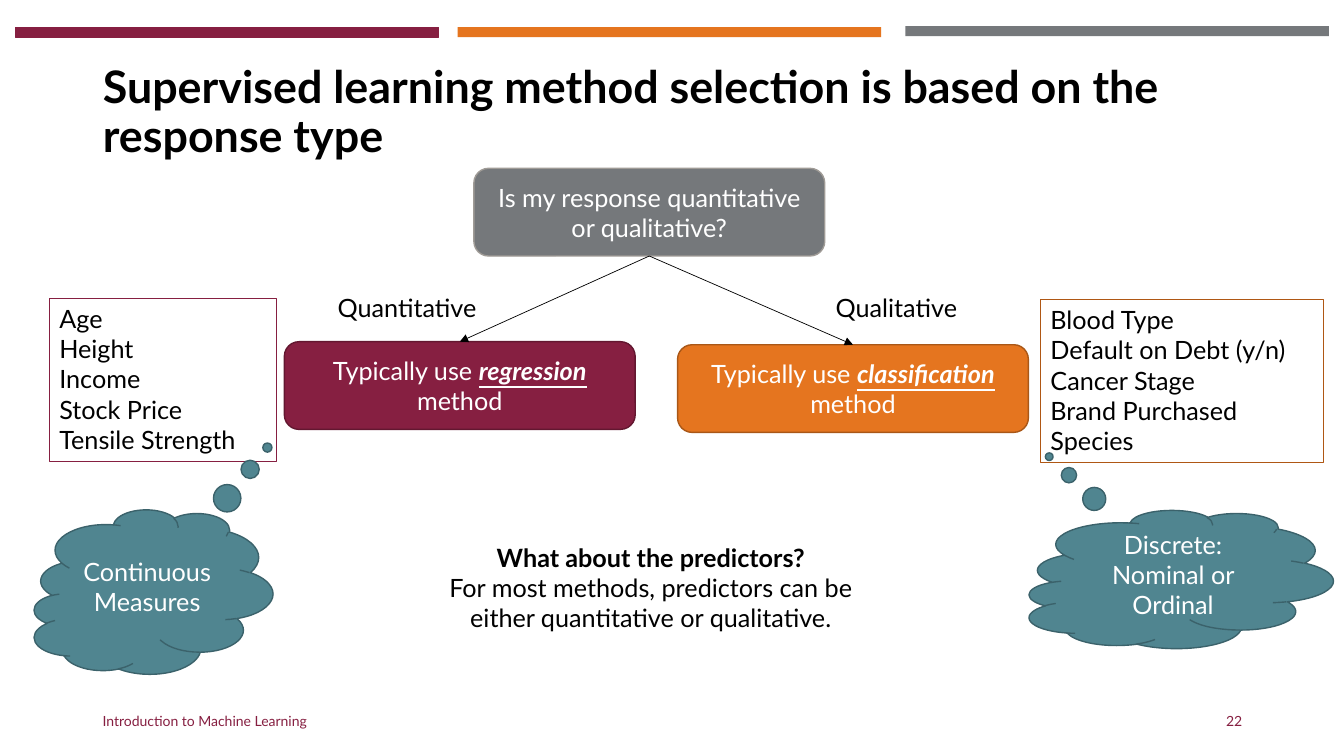
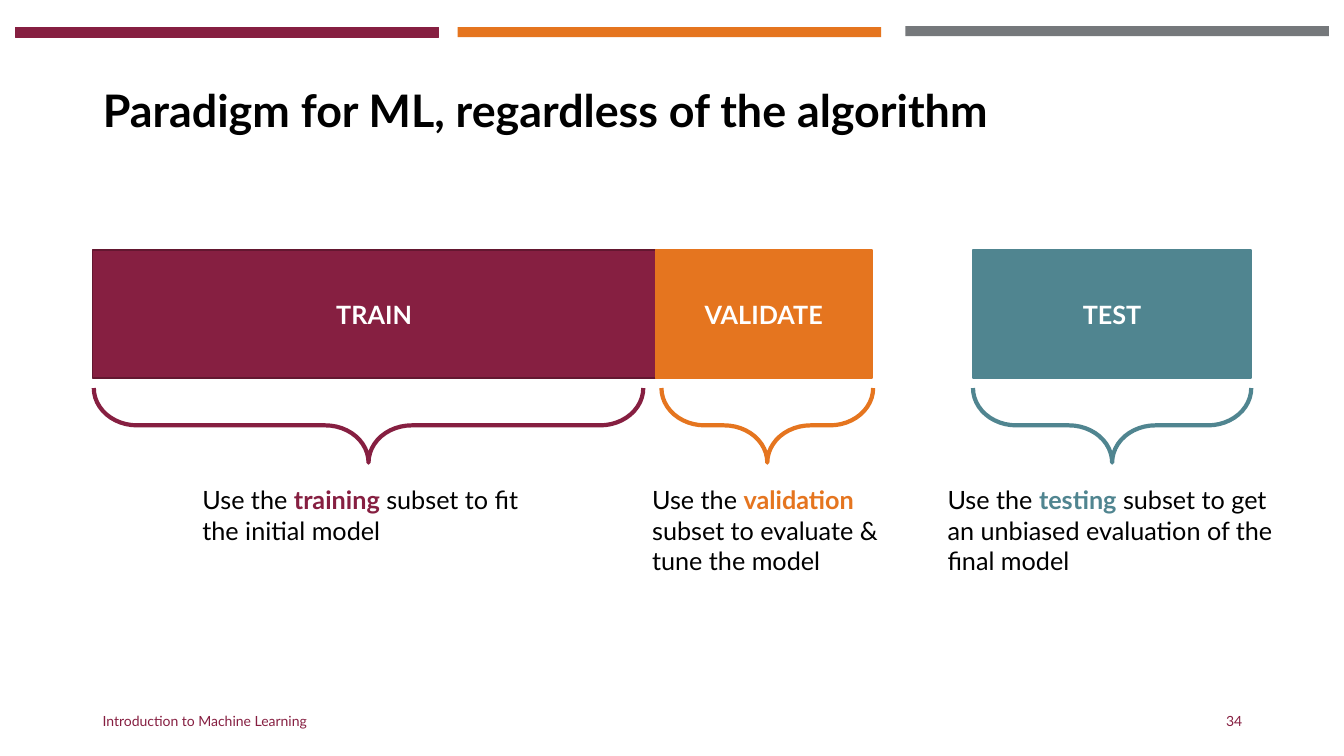
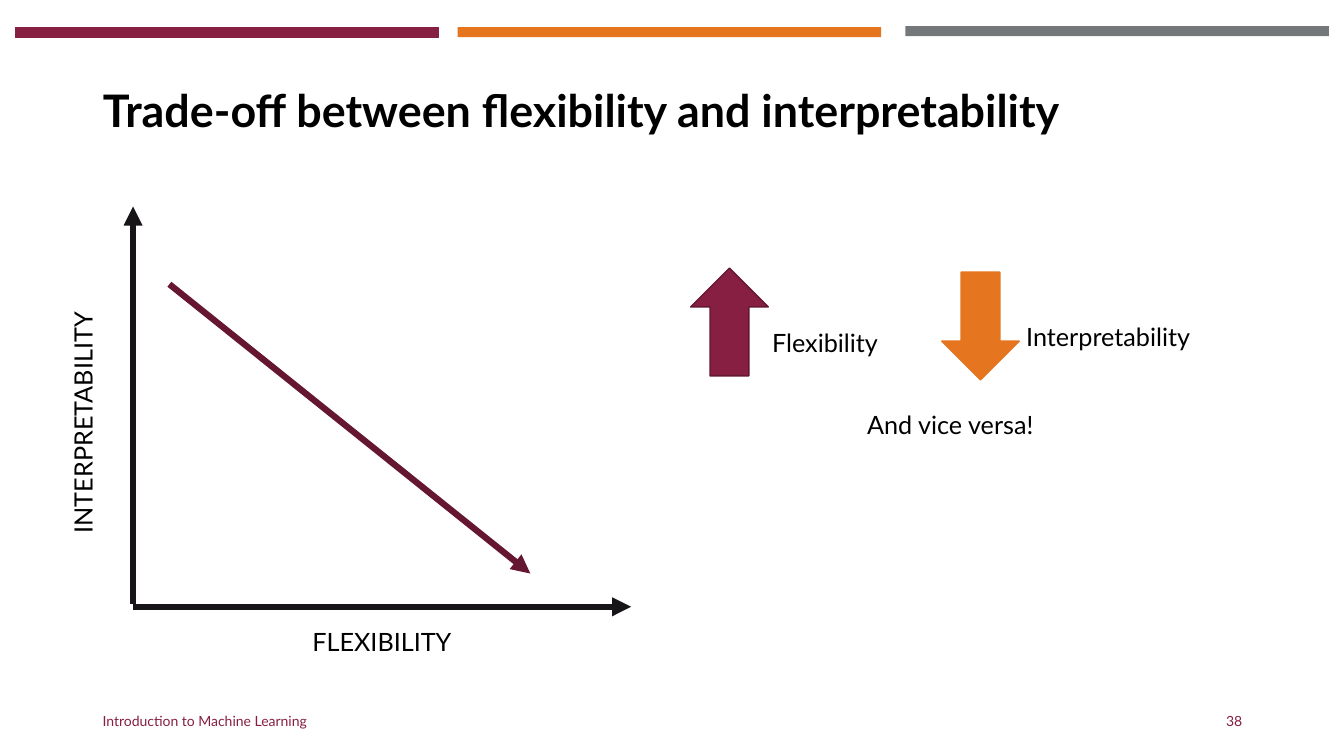
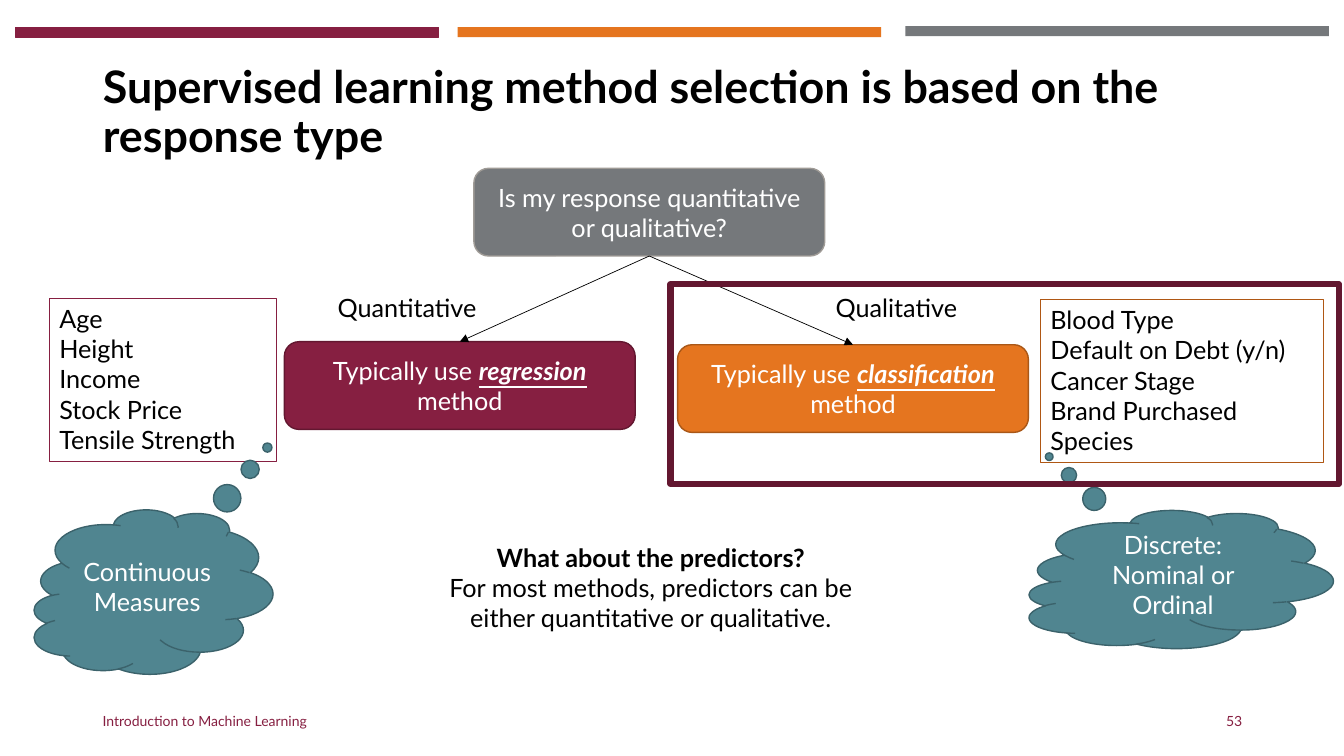
from lxml import etree
from pptx import Presentation
from pptx import util as u
from pptx.dml.color import RGBColor
from pptx.enum import shapes, text
from pptx.oxml.ns import qn

FONT = "Lato"
MAROON, ORANGE, GRAY, TEAL = "861F41", "E5751F", "75787B", "508590"
DARK_MAROON, DARK_ORANGE, DARK_TEAL = "631730", "A95717", "3B626B"
BLACK, WHITE, AXIS = "000000", "FFFFFF", "181519"
KIND = shapes.MSO_SHAPE
LEFT, CENTER, RIGHT = text.PP_ALIGN.LEFT, text.PP_ALIGN.CENTER, text.PP_ALIGN.RIGHT
TOP, MIDDLE = text.MSO_ANCHOR.TOP, text.MSO_ANCHOR.MIDDLE
EMPHASIS = {"bold": True, "italic": True, "underline": True}


def color(value):
    return RGBColor.from_string(value)


def write(frame, paragraphs, size=18, ink=BLACK, bold=False, align=LEFT,
          anchor=TOP, spacing=None, direction=None):
    """Fill a frame; a paragraph is a string or a list of strings and (string, format) runs."""
    frame.word_wrap = True
    frame.auto_size = text.MSO_AUTO_SIZE.NONE
    frame.vertical_anchor = anchor
    if direction:
        frame._txBody.bodyPr.set("vert", direction)
    if isinstance(paragraphs, str):
        paragraphs = [paragraphs]
    for index, runs in enumerate(paragraphs):
        paragraph = frame.add_paragraph() if index else frame.paragraphs[0]
        paragraph.alignment = align
        if spacing:
            paragraph.line_spacing = spacing
        for item in [runs] if isinstance(runs, str) else runs:
            words, changes = (item, {}) if isinstance(item, str) else item
            run = paragraph.add_run()
            run.text = words
            font = run.font
            font.name, font.size = FONT, u.Pt(size)
            font.bold = changes.get("bold", bold)
            font.italic = changes.get("italic", False)
            font.underline = changes.get("underline", False)
            font.color.rgb = color(changes.get("ink", ink))


class Deck:
    """The shared style and the slide being drawn."""

    def __init__(self):
        self.presentation = Presentation()
        self.presentation.slide_width = u.Inches(13.33)
        self.presentation.slide_height = u.Inches(7.5)
        self.slide = None

    def new_slide(self, title, number):
        layout = self.presentation.slide_layouts[5]
        self.slide = self.presentation.slides.add_slide(layout)
        # Bands
        self.shape(KIND.RECTANGLE, 0.15, 0.27, 4.2, 0.1, MAROON, MAROON, 0.75)
        self.shape(KIND.RECTANGLE, 8.98, 0.26, 4.2, 0.1, GRAY)
        self.shape(KIND.RECTANGLE, 4.54, 0.27, 4.2, 0.1, ORANGE)
        # Title and footer
        heading = self.slide.shapes.title
        heading.left, heading.top = u.Inches(0.92), u.Inches(0.4)
        heading.width, heading.height = u.Inches(11.5), u.Inches(1.45)
        write(heading.text_frame, title, size=32, bold=True, anchor=MIDDLE, spacing=0.9)
        footer = {"size": 10, "ink": MAROON, "anchor": MIDDLE}
        self.label("Introduction to Machine Learning", 0.92, 6.95, 4.5, 0.4, **footer)
        self.label(str(number), 9.42, 6.95, 3, 0.4, align=RIGHT, **footer)

    def label(self, words, left, top, width, height, **style):
        box = self.slide.shapes.add_textbox(
            u.Inches(left), u.Inches(top), u.Inches(width), u.Inches(height))
        write(box.text_frame, words, **style)

    def shape(self, kind, left, top, width, height, fill=None, line=None, weight=1,
              words=None, **style):
        shape = self.slide.shapes.add_shape(
            kind, u.Inches(left), u.Inches(top), u.Inches(width), u.Inches(height))
        shape.shadow.inherit = False
        if fill:
            shape.fill.solid()
            shape.fill.fore_color.rgb = color(fill)
        else:
            shape.fill.background()
        if line:
            shape.line.color.rgb = color(line)
            shape.line.width = u.Pt(weight)
        else:
            shape.line.fill.background()
        if words:
            style = {"ink": WHITE, "align": CENTER, "anchor": MIDDLE, **style}
            write(shape.text_frame, words, **style)
        return shape

    def list_box(self, left, top, width, line, items):
        self.shape(KIND.RECTANGLE, left, top, width, 1.62, None, line, 0.75, items,
                   ink=BLACK, align=LEFT, anchor=TOP)

    def cloud(self, left, top, width, height, tail, words):
        cloud = self.shape(KIND.CLOUD_CALLOUT, left, top, width, height, TEAL,
                           DARK_TEAL, words=words, direction="vert")
        cloud.adjustments[0], cloud.adjustments[1] = tail
        cloud.rotation = 270
        cloud._element.spPr.find(qn("a:xfrm")).set("flipH", "1")

    def brace(self, left, width, line):
        """A downward brace that spans width, made by turning a right brace."""
        depth, top = 0.74, 3.85
        brace = self.shape(KIND.RIGHT_BRACE, left + (width - depth) / 2,
                           top + (depth - width) / 2, depth, width, None, line, 3)
        brace.adjustments[0], brace.adjustments[1] = 0.58, 0.5
        brace.rotation = 90

    def arrow(self, start, end, line, weight):
        arrow = self.slide.shapes.add_connector(
            shapes.MSO_CONNECTOR.STRAIGHT, *[u.Inches(n) for n in (*start, *end)])
        arrow.line.color.rgb = color(line)
        arrow.line.width = u.Pt(weight)
        etree.SubElement(arrow.line._get_or_add_ln(), qn("a:tailEnd"), type="triangle")
        etree.SubElement(arrow._element.spPr, qn("a:effectLst"))
        return arrow


def method_selection(deck, number):
    deck.new_slide("Supervised learning method selection is based on the response type", number)
    # Decision tree
    question = deck.shape(KIND.ROUNDED_RECTANGLE, 4.7, 1.67, 3.48, 0.87, GRAY, "9F9B96",
                          words="Is my response quantitative or qualitative?")
    branches = [
        (2.82, 3.39, MAROON, DARK_MAROON, "regression", "Quantitative", 3.25),
        (6.72, 3.42, ORANGE, DARK_ORANGE, "classification", "Qualitative", 8.19),
    ]
    for left, top, fill, line, method, answer, answer_left in branches:
        box = deck.shape(KIND.ROUNDED_RECTANGLE, left, top, 3.48, 0.87, fill, line,
                         words=[["Typically use ", (method, EMPHASIS), " method"]])
        arrow = deck.arrow((6.44, 2.54), (left + 1.74, top), BLACK, 0.5)
        arrow.begin_connect(question, 2)
        arrow.end_connect(box, 0)
        deck.label(answer, answer_left, 2.85, 2.05, 0.4)
    # Examples
    deck.list_box(0.49, 2.96, 2.25, MAROON,
                  ["Age", "Height", "Income", "Stock Price", "Tensile Strength"])
    deck.list_box(10.32, 2.97, 2.81, "AF5714",
                  ["Blood Type", "Default on Debt (y/n)", "Cancer Stage",
                   "Brand Purchased", "Species"])
    deck.label([[("What about the predictors?", {"bold": True})],
                "For most methods, predictors can be",
                "either quantitative or qualitative."],
               3.12, 5.33, 6.67, 1.01, align=CENTER)
    deck.cloud(0.7, 4.69, 1.63, 2.37, (-0.88, 0.48), "Continuous Measures")
    deck.cloud(11.02, 4.24, 1.37, 3.02, (-0.89, -0.43), "Discrete: Nominal or Ordinal")


def data_split(deck, number):
    deck.new_slide("Paradigm for ML, regardless of the algorithm", number)
    # Name, bar, brace, and note of each subset
    subsets = [
        ("TRAIN", 0.92, 5.58, MAROON, DARK_MAROON, 0.93, 5.45,
         "training", " subset to fit the initial model", 1.91, 3.5),
        ("VALIDATE", 6.5, 2.15, ORANGE, ORANGE, 6.56, 2.1,
         "validation", " subset to evaluate & tune the model", 6.37, 2.5),
        ("TEST", 9.65, 2.76, TEAL, TEAL, 9.65, 2.76,
         "testing", " subset to get an unbiased evaluation of the final model", 9.3, 3.53),
    ]
    for (name, left, width, fill, line, brace_left, brace_width,
         subset, purpose, note_left, note_width) in subsets:
        deck.shape(KIND.RECTANGLE, left, 2.48, width, 1.27, fill, line,
                   words=name, bold=True)
        deck.brace(brace_left, brace_width, fill)
        deck.label([["Use the ", (subset, {"ink": fill, "bold": True}), purpose]],
                   note_left, 4.76, note_width, 1.01)


def trade_off(deck, number):
    deck.new_slide("Trade-off between flexibility and interpretability", number)
    # Axes and trend
    deck.arrow((1.32, 5.99), (1.32, 2.05), AXIS, 4.5)
    deck.arrow((1.32, 6.02), (6.26, 6.02), AXIS, 4.5)
    deck.arrow((1.68, 2.82), (5.26, 5.69), "651731", 4.5)
    deck.label("INTERPRETABILITY", 0.62, 2.66, 0.5, 2.73, direction="vert270")
    deck.label("FLEXIBILITY", 3, 6.16, 2.65, 0.5)
    # Summary
    deck.shape(KIND.UP_ARROW, 6.85, 2.66, 0.77, 1.07, MAROON, DARK_MAROON)
    deck.label("Flexibility", 7.56, 3.2, 2.46, 0.4)
    deck.shape(KIND.DOWN_ARROW, 9.34, 2.7, 0.77, 1.07, ORANGE, ORANGE)
    deck.label("Interpretability", 10.08, 3.14, 2.79, 0.71)
    deck.label("And vice versa!", 7.77, 4.01, 3.31, 0.4, align=CENTER)


def main():
    deck = Deck()
    method_selection(deck, 22)
    data_split(deck, 34)
    trade_off(deck, 38)
    method_selection(deck, 53)
    # Highlight of the classification branch
    deck.shape(KIND.RECTANGLE, 6.65, 2.82, 6.63, 1.98, None, DARK_MAROON, 4.5)
    deck.presentation.save("out.pptx")


if __name__ == "__main__":
    main()
